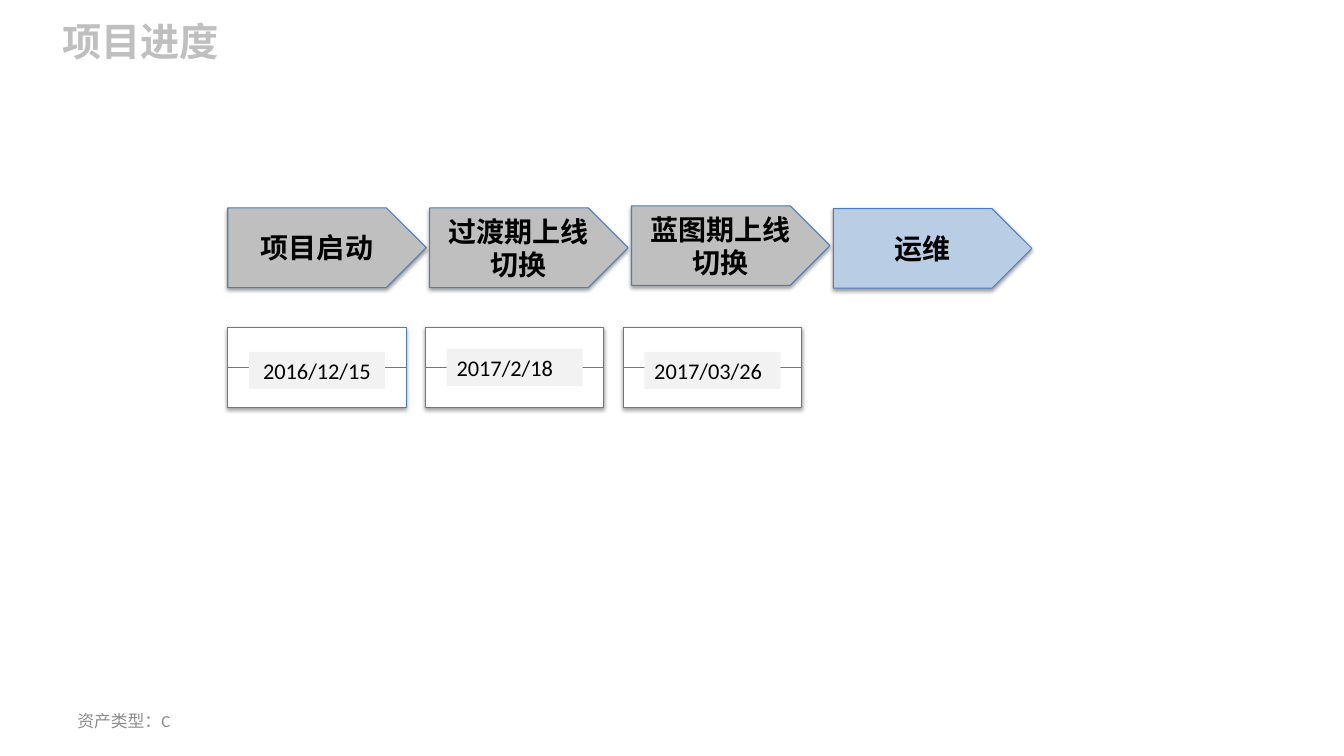
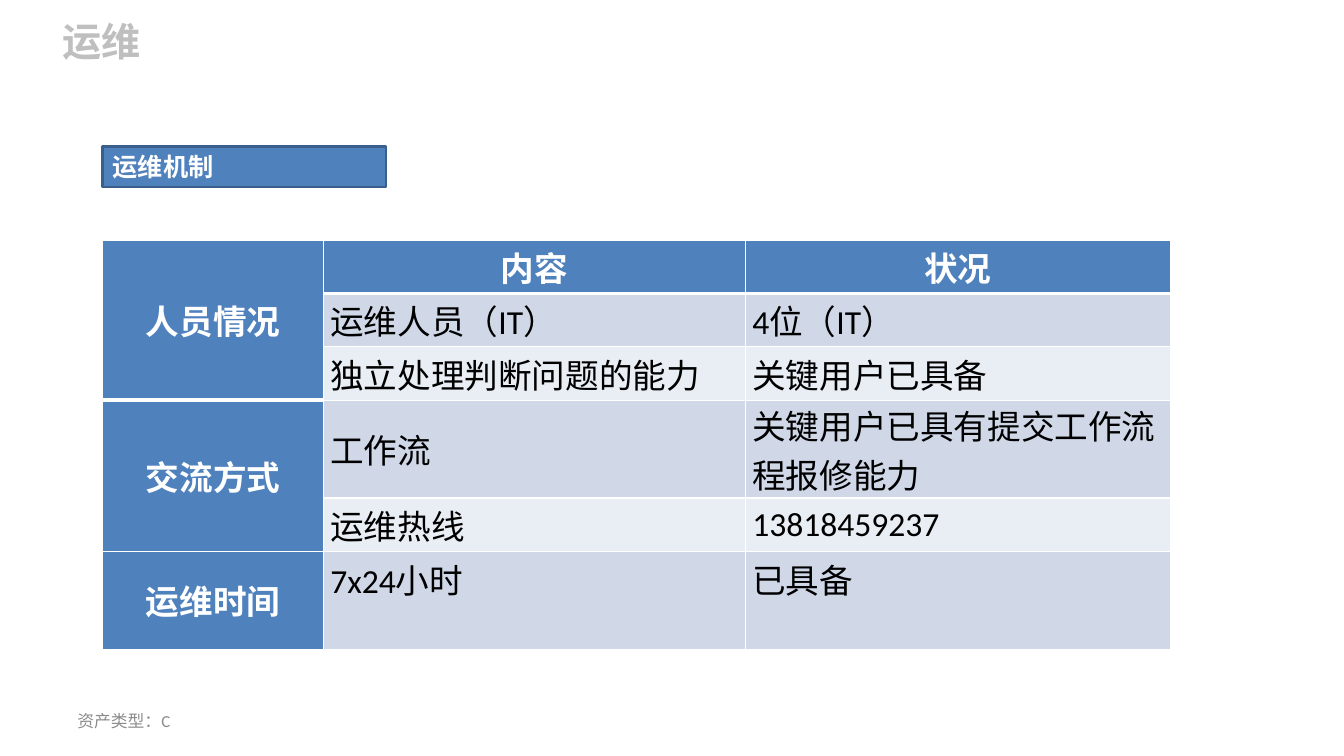
from dataclasses import dataclass

from lxml import etree
from pptx import Presentation
from pptx.dml.color import RGBColor
from pptx.enum.shapes import MSO_CONNECTOR, MSO_SHAPE
from pptx.enum.text import MSO_ANCHOR, MSO_AUTO_SIZE, PP_ALIGN
from pptx.oxml.ns import qn
from pptx.util import Pt

LEFT, CENTER = PP_ALIGN.LEFT, PP_ALIGN.CENTER
TOP, MIDDLE = MSO_ANCHOR.TOP, MSO_ANCHOR.MIDDLE
FIXED_SIZE = MSO_AUTO_SIZE.NONE
RECTANGLE, PENTAGON = MSO_SHAPE.RECTANGLE, MSO_SHAPE.PENTAGON
STRAIGHT = MSO_CONNECTOR.STRAIGHT
TITLE_ONLY = 5


@dataclass(frozen=True)
class Theme:
    font: str = "Calibri"
    text: str = "000000"
    white: str = "FFFFFF"
    title: str = "BFBFBF"
    footer: str = "8C8C8C"
    done: str = "BFBFBF"
    current: str = "B9CDE5"
    outline: str = "4B7EBC"
    date_label: str = "F2F2F2"
    accent: str = "4F81BD"
    accent_line: str = "3A5F8C"
    bands: tuple = ("E9EDF4", "D0D8E8")
    title_size: int = 28
    table_size: int = 24
    phase_size: int = 20
    heading_size: int = 18
    date_size: int = 16
    footer_size: int = 12
    thin: float = 0.75
    thick: float = 2


THEME = Theme()

# name, top, fill
PHASES = [
    ("项目启动", 148.5, THEME.done),
    ("过渡期上线切换", 148.5, THEME.done),
    ("蓝图期上线切换", 147, THEME.done),
    ("运维", 149, THEME.current),
]
# date, label top, alignment
DATES = [
    ("2016/12/15", 251.3, CENTER),
    ("2017/2/18", 249.1, LEFT),
    ("2017/03/26", 251.3, LEFT),
]
TIMELINE_LEFT = 162.7

OPERATIONS = [
    ("人员情况", "内容", "状况"),
    ("", "运维人员（IT）", "4位（IT）"),
    ("", "独立处理判断问题的能力", "关键用户已具备"),
    ("交流方式", "工作流", "关键用户已具有提交工作流程报修能力"),
    ("", "运维热线", "13818459237"),
    ("运维时间", "7x24小时", "已具备"),
]
COLUMN_WIDTHS = (157.6, 301.4, 303.5)
ROW_HEIGHTS = (38.2, 38.2, 38.2, 69.8, 38.2, 69.8)
TOPIC_ROWS = ((0, 2), (3, 4))


def rgb(color):
    return RGBColor.from_string(color)


def box(left, top, width, height):
    return Pt(left), Pt(top), Pt(width), Pt(height)


def write(frame, text, size, color, bold=False, align=LEFT):
    frame.text = text
    paragraph = frame.paragraphs[0]
    paragraph.alignment = align
    paragraph.font.name = THEME.font
    paragraph.font.size = Pt(size)
    paragraph.font.bold = bold
    paragraph.font.color.rgb = rgb(color)


def add_panel(slide, kind, area, fill, line=None, line_width=THEME.thin):
    panel = slide.shapes.add_shape(kind, *box(*area))
    panel.shadow.inherit = False
    panel.fill.solid()
    panel.fill.fore_color.rgb = rgb(fill)
    if line:
        panel.line.color.rgb = rgb(line)
        panel.line.width = Pt(line_width)
    else:
        panel.line.fill.background()
    panel.text_frame.word_wrap = True
    return panel


def cast_shadow(panel):
    """Give the panel a soft shadow straight below it."""
    effects = panel.element.spPr.find(qn("a:effectLst"))
    shadow = etree.SubElement(
        effects, qn("a:outerShdw"), blurRad=str(Pt(3.1)), dist=str(Pt(1.6)),
        dir="5400000", rotWithShape="0")
    black = etree.SubElement(shadow, qn("a:srgbClr"), val="000000")
    etree.SubElement(black, qn("a:alpha"), val="38000")


def add_rule(slide, left, right, y):
    rule = slide.shapes.add_connector(STRAIGHT, Pt(left), Pt(y), Pt(right), Pt(y))
    rule.line.color.rgb = rgb(THEME.outline)
    rule.line.width = Pt(THEME.thin)
    etree.SubElement(rule.element.spPr, qn("a:effectLst"))


def add_titled_slide(deck, heading):
    """Add a slide with the shared title style and footer."""
    slide = deck.slides.add_slide(deck.slide_layouts[TITLE_ONLY])
    title = slide.shapes.title
    title.left, title.top, title.width, title.height = box(37.4, 8.6, 718.6, 63.4)
    frame = title.text_frame
    frame.auto_size = FIXED_SIZE
    frame.vertical_anchor = TOP
    write(frame, heading, THEME.title_size, THEME.title, bold=True)

    footer = slide.shapes.add_textbox(*box(48.2, 500.4, 224, 28.8)).text_frame
    footer.word_wrap = True
    footer.vertical_anchor = MIDDLE
    write(footer, "资产类型：C", THEME.footer_size, THEME.footer)
    return slide


def add_phase(slide, left, top, name, fill):
    phase = add_panel(slide, PENTAGON, (left, top, 141.8, 56.9), fill, THEME.outline)
    cast_shadow(phase)
    phase.text_frame.vertical_anchor = MIDDLE
    write(phase.text_frame, name, THEME.phase_size, THEME.text, True, CENTER)


def add_date_card(slide, left, date, label_top, align):
    top, width, height = 234, 127.4, 56.9
    card = add_panel(slide, RECTANGLE, (left, top, width, height),
                     THEME.white, THEME.outline)
    cast_shadow(card)
    add_rule(slide, left, left + width, top + height / 2)
    label_width = 97.2
    label_left = left + (width - label_width) / 2
    label = add_panel(slide, RECTANGLE, (label_left, label_top, label_width, 26.6),
                      THEME.date_label)
    label.text_frame.vertical_anchor = TOP
    write(label.text_frame, date, THEME.date_size, THEME.text, align=align)


def set_borders(cell, top, bottom):
    properties = cell._tc.get_or_add_tcPr()
    widths = (("L", 1), ("R", 1), ("T", top), ("B", bottom))
    for position, (side, width) in enumerate(widths):
        border = etree.Element(qn(f"a:ln{side}"), w=str(Pt(width)))
        fill = etree.SubElement(border, qn("a:solidFill"))
        etree.SubElement(fill, qn("a:srgbClr"), val=THEME.white)
        properties.insert(position, border)


def format_cell(cell, row, column, text):
    is_header = row == 0 or column == 0
    cell.fill.solid()
    cell.fill.fore_color.rgb = rgb(THEME.accent if is_header else THEME.bands[row % 2])
    cell.margin_left = cell.margin_right = Pt(5)
    cell.margin_top = cell.margin_bottom = 0
    cell.vertical_anchor = MIDDLE
    if row == len(OPERATIONS) - 1 and not is_header:
        cell.vertical_anchor = TOP
        cell.margin_top = Pt(2)
    below_header = row == 1 or (row, column) == (3, 0)
    set_borders(cell, top=3 if below_header else 1, bottom=3 if row == 0 else 1)
    if text:
        write(cell.text_frame, text, THEME.table_size,
              THEME.white if is_header else THEME.text,
              is_header, CENTER if is_header else LEFT)


def add_operations_table(slide):
    area = box(73.4, 171.4, sum(COLUMN_WIDTHS), sum(ROW_HEIGHTS))
    table = slide.shapes.add_table(len(ROW_HEIGHTS), len(COLUMN_WIDTHS), *area).table
    for column, width in zip(table.columns, COLUMN_WIDTHS):
        column.width = Pt(width)
    for row, height in zip(table.rows, ROW_HEIGHTS):
        row.height = Pt(height)
    for first, last in TOPIC_ROWS:
        table.cell(first, 0).merge(table.cell(last, 0))
    for row, texts in enumerate(OPERATIONS):
        for column, text in enumerate(texts):
            format_cell(table.cell(row, column), row, column, text)


def build_schedule(deck):
    slide = add_titled_slide(deck, "项目进度")
    for index, (name, top, fill) in enumerate(PHASES):
        add_phase(slide, TIMELINE_LEFT + index * 144.2, top, name, fill)
    for index, (date, label_top, align) in enumerate(DATES):
        add_date_card(slide, TIMELINE_LEFT + index * 141.2, date, label_top, align)


def build_operations(deck):
    slide = add_titled_slide(deck, "运维")
    heading = add_panel(slide, RECTANGLE, (73.4, 104.6, 202.3, 29), THEME.accent,
                        THEME.accent_line, THEME.thick)
    heading.text_frame.vertical_anchor = TOP
    write(heading.text_frame, "运维机制", THEME.heading_size, THEME.white, bold=True)
    add_operations_table(slide)


def main():
    deck = Presentation()
    deck.slide_width, deck.slide_height = Pt(960), Pt(540)
    build_schedule(deck)
    build_operations(deck)
    deck.save("out.pptx")


if __name__ == "__main__":
    main()
